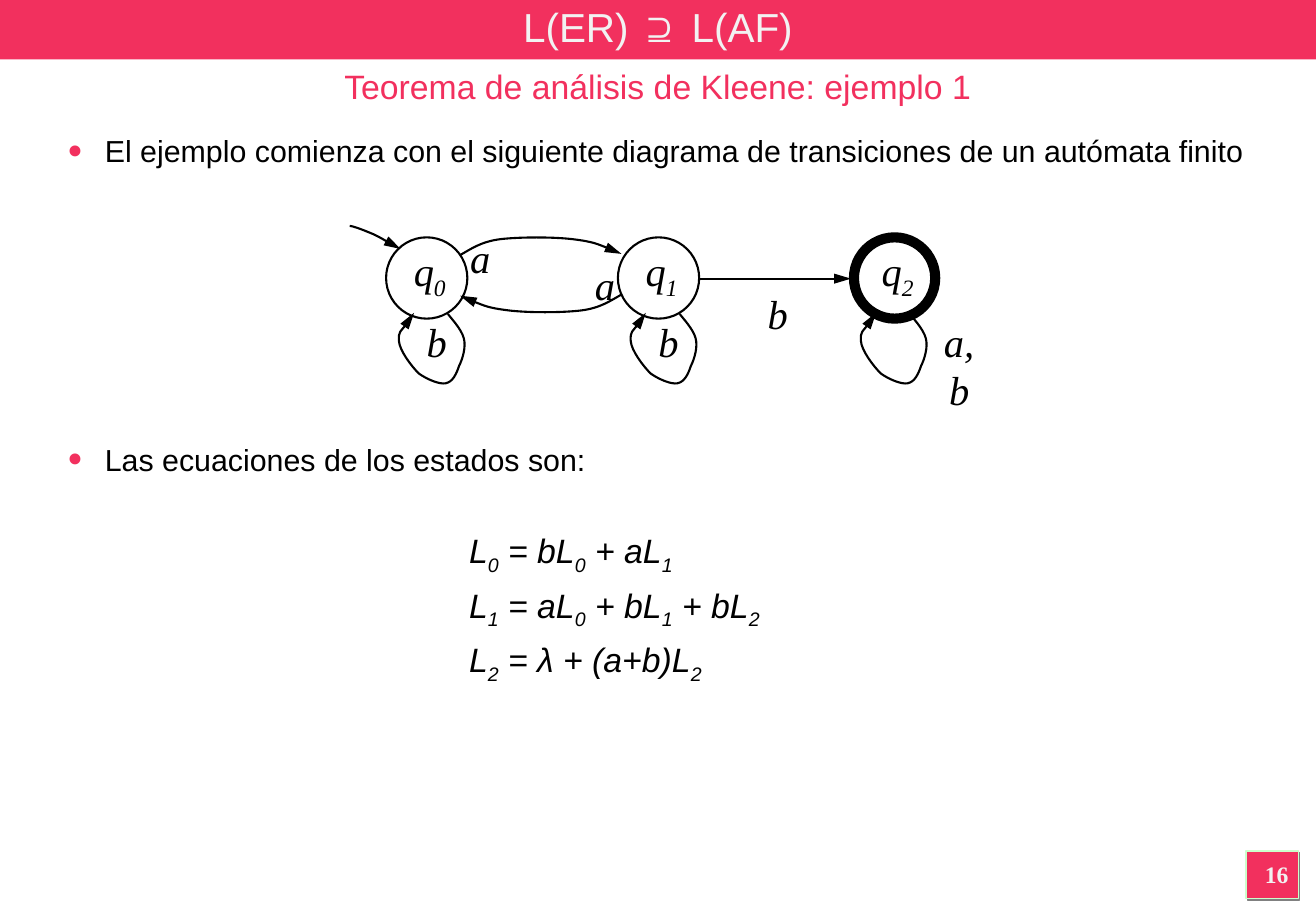
from dataclasses import dataclass

import lxml.etree
import pptx
import pptx.dml.color
import pptx.enum.shapes
import pptx.enum.text
import pptx.oxml.ns
import pptx.util

Pt = pptx.util.Pt
qn = pptx.oxml.ns.qn
Align = pptx.enum.text.PP_ALIGN
Anchor = pptx.enum.text.MSO_ANCHOR
AutoSize = pptx.enum.text.MSO_AUTO_SIZE
Preset = pptx.enum.shapes.MSO_SHAPE
Point = tuple[float, float]

PINK, PALE, BLACK = "F2305E", "F2F2F2", "000000"
SANS, SERIF = "Arial", "Times New Roman"
SLIDE_WIDTH, SLIDE_HEIGHT = 780.48, 540
STATE_TOP, STATE_SIZE = 140.7, 48.2
LOOP_TOP = 185.4


@dataclass
class State:
    name: str
    left: float
    border: float
    loop_left: float


@dataclass
class Label:
    text: str
    left: float
    top: float
    width: float = 25.9


@dataclass
class BodyLine:
    text: str
    space_before: float
    size: float = 18
    indent: float = 22.3
    bullet: bool = False


STATES = [
    State("q_0", 229, 1.25, 236.2),
    State("q_1", 366.5, 1.25, 373.7),
    State("q_2", 506.5, 6, 510.2),
]
LABELS = [
    Label("b", 448.2, 167.5),
    Label("b", 383.4, 184.1),
    Label("a,b", 546.9, 184.1, 43.9),
    Label("b", 245.9, 184.1),
    Label("a", 345.8, 150.8),
    Label("a", 271.8, 134.8),
]
BODY = [
    BodyLine("El ejemplo comienza con el siguiente diagrama de transiciones "
             "de un autómata finito", 0, bullet=True),
    BodyLine("Las ecuaciones de los estados son:", 161.5, bullet=True),
    BodyLine("L_0 = bL_0 + aL_1", 31, 20, 238.3),
    BodyLine("L_1 = aL_0 + bL_1 + bL_2", 5, 20, 238.3),
    BodyLine("L_2 = λ + (a+b)L_2", 5, 20, 238.3),
]
# Each curve is a start point followed by Bézier triples.
ENTRY = [(207.4, 133.9), (208.8, 133.9), (213.1, 135.4), (218.2, 137.5),
         (223.9, 139.7), (233.3, 145.4), (237.6, 147.6)]
FORWARD = [(272.9, 151.2), (279.4, 147.6), (285.1, 143.3), (296.6, 141.8),
           (308.2, 140.4), (328.3, 140.4), (339.8, 141.8), (352.1, 143.3),
           (360.7, 146.9), (368.6, 150.5)]
BACK = [(641.5 - x, 325.8 - y) for x, y in FORWARD]
LOOP = [(29.5, 0.7), (31, 2.9), (37.4, 9.4), (38.9, 15.1), (40.3, 20.2),
        (38.2, 27.4), (36, 31.7), (34.6, 36), (32.4, 41), (28.1, 41.8),
        (24.5, 42.5), (17.3, 39.6), (12.2, 36), (7.9, 31.7), (0.7, 22.3),
        (0.4, 16.6), (0, 10.8), (7.9, 3.6), (9.4, 0)]


def color(value: str):
    return pptx.dml.color.RGBColor.from_string(value)


def add_preset(slide, preset, left: float, top: float, width: float, height: float,
               fill: str | None = None, line: str | None = None, weight: float = 0.75):
    shape = slide.shapes.add_shape(preset, Pt(left), Pt(top), Pt(width), Pt(height))
    shape.shadow.inherit = False
    if fill:
        shape.fill.solid()
        shape.fill.fore_color.rgb = color(fill)
    else:
        shape.fill.background()
    if line:
        shape.line.color.rgb = color(line)
        shape.line.width = Pt(weight)
    else:
        shape.line.fill.background()
    return shape


def add_page_box(slide) -> None:
    box = add_preset(slide, Preset.RECTANGLE, 739, 504.4, 31, 28.1, PINK, "CCFFCC")
    effects = box.element.spPr.find(qn("a:effectLst"))
    shadow = lxml.etree.SubElement(effects, qn("a:outerShdw"), dist="17780",
                                   dir="2700000", algn="ctr", rotWithShape="0")
    lxml.etree.SubElement(shadow, qn("a:srgbClr"), val="808080")


def write(paragraph, text: str, font: str, size: float, ink: str,
          italic: bool = False, bold: bool = False) -> None:
    """Fill a paragraph; the character after each underscore is a subscript."""
    style = paragraph.font
    style.name, style.size = font, Pt(size)
    style.italic, style.bold = italic, bold
    style.color.rgb = color(ink)
    start, *rest = text.split("_")
    paragraph.add_run().text = start
    for part in rest:
        subscript = paragraph.add_run()
        subscript.text = part[0]
        subscript._r.get_or_add_rPr().set("baseline", "-25000")
        if part[1:]:
            paragraph.add_run().text = part[1:]


def add_frame(slide, left: float, top: float, width: float, height: float,
              wrap: bool = True):
    frame = slide.shapes.add_textbox(Pt(left), Pt(top), Pt(width), Pt(height)).text_frame
    frame.word_wrap = wrap
    frame.paragraphs[0].alignment = Align.CENTER
    return frame


def add_label(slide, label: Label) -> None:
    frame = add_frame(slide, label.left, label.top, label.width, 36, wrap=False)
    frame.auto_size = AutoSize.SHAPE_TO_FIT_TEXT
    write(frame.paragraphs[0], label.text, SERIF, 24, BLACK, italic=True)


def add_body(slide) -> None:
    frame = add_frame(slide, 32.8, 74.2, 717.1, 417.6)
    frame.margin_top = Pt(4.3)
    for index, line in enumerate(BODY):
        paragraph = frame.add_paragraph() if index else frame.paragraphs[0]
        paragraph.alignment = Align.LEFT
        if index:
            paragraph.space_before = Pt(line.space_before)
        properties = paragraph._p.get_or_add_pPr()
        properties.set("marL", str(Pt(line.indent)))
        properties.set("indent", str(-Pt(line.indent) if line.bullet else 0))
        if line.bullet:
            tint = lxml.etree.SubElement(properties, qn("a:buClr"))
            lxml.etree.SubElement(tint, qn("a:srgbClr"), val=PINK)
            lxml.etree.SubElement(properties, qn("a:buSzPct"), val="150000")
            lxml.etree.SubElement(properties, qn("a:buFont"), typeface=SERIF)
            lxml.etree.SubElement(properties, qn("a:buChar"), char="•")
        write(paragraph, line.text, SANS, line.size, BLACK, italic=not line.bullet)


def style_arrow(arrow) -> None:
    arrow.line.color.rgb = color(BLACK)
    arrow.line.width = Pt(1.25)
    outline = arrow.element.spPr.find(qn("a:ln"))
    lxml.etree.SubElement(outline, qn("a:tailEnd"), type="triangle", len="lg")


def add_curved_arrow(slide, points: list[Point]) -> None:
    start, *rest = [(Pt(x), Pt(y)) for x, y in points]
    builder = slide.shapes.build_freeform(*start)
    builder.add_line_segments(rest, close=False)
    arrow = builder.convert_to_shape()
    arrow.shadow.inherit = False
    arrow.fill.background()
    style_arrow(arrow)
    curve = next(arrow.element.iter(qn("a:path")))
    segments = curve.findall(qn("a:lnTo"))
    for first in range(0, len(segments), 3):
        bezier = lxml.etree.SubElement(curve, qn("a:cubicBezTo"))
        for segment in segments[first:first + 3]:
            bezier.append(segment[0])
            curve.remove(segment)


def add_straight_arrow(slide, start: Point, end: Point) -> None:
    arrow = slide.shapes.add_connector(pptx.enum.shapes.MSO_CONNECTOR.STRAIGHT,
                                       *map(Pt, start + end))
    style_arrow(arrow)
    lxml.etree.SubElement(arrow.element.spPr, qn("a:effectLst"))


def add_state(slide, state: State) -> None:
    add_preset(slide, Preset.OVAL, state.left, STATE_TOP, STATE_SIZE, STATE_SIZE,
               line=BLACK, weight=state.border)
    add_label(slide, Label(state.name, state.left + 9.35, 142.3, 33.1))
    add_curved_arrow(slide, [(state.loop_left + x, LOOP_TOP + y) for x, y in LOOP])


def main() -> None:
    deck = pptx.Presentation()
    deck.slide_width = Pt(SLIDE_WIDTH)
    deck.slide_height = Pt(SLIDE_HEIGHT)
    slide = deck.slides.add_slide(deck.slide_layouts[6])

    add_page_box(slide)
    add_preset(slide, Preset.RECTANGLE, 0, 0, SLIDE_WIDTH, 35.3, PINK)
    title = add_frame(slide, 0, 0, SLIDE_WIDTH, 31.7)
    title.vertical_anchor = Anchor.MIDDLE
    write(title.paragraphs[0], "L(ER) ⊇ L(AF)", SANS, 24, PALE)
    subtitle = add_frame(slide, 0, 35.3, SLIDE_WIDTH, 31.7)
    write(subtitle.paragraphs[0], "Teorema de análisis de Kleene: ejemplo 1", SANS, 20, PINK)
    add_body(slide)

    for state in STATES:
        add_state(slide, state)
    for curve in (ENTRY, FORWARD, BACK):
        add_curved_arrow(slide, curve)
    add_straight_arrow(slide, (414.7, 165.2), (504.7, 165.2))
    for label in LABELS:
        add_label(slide, label)

    page_number = add_frame(slide, 737.7, 506, 38.9, 25.2)
    write(page_number.paragraphs[0], "16", SERIF, 14, PALE, bold=True)
    deck.save("out.pptx")


if __name__ == "__main__":
    main()
